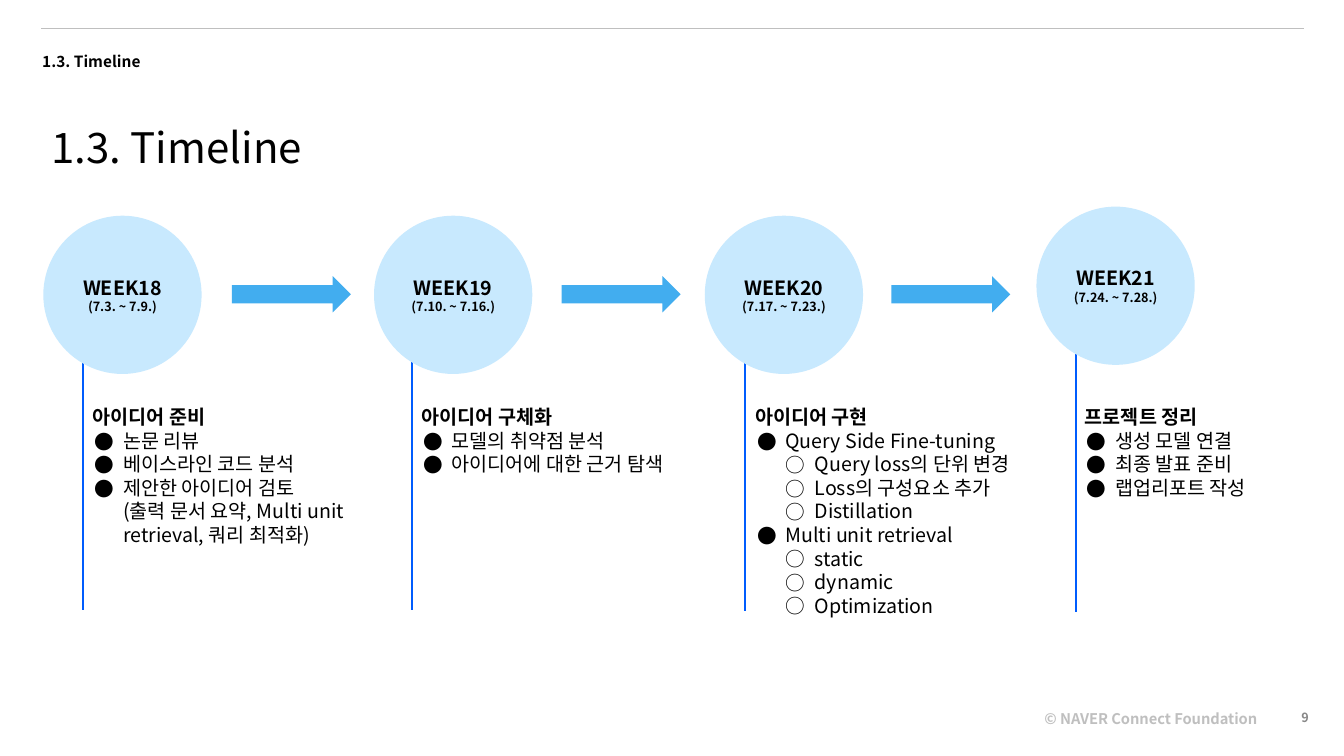
from lxml.etree import SubElement
from pptx import Presentation
from pptx.dml.color import RGBColor
from pptx.enum.shapes import MSO_CONNECTOR, MSO_SHAPE
from pptx.enum.text import MSO_ANCHOR, MSO_AUTO_SIZE, PP_ALIGN
from pptx.oxml.ns import qn
from pptx.util import Pt

EMU_PER_PX = 9144
COLORS = {
    "text": "000000",
    "rule": "BFBFBF",
    "stem": "005CFD",
    "circle": "C8E9FE",
    "arrow": "42ADEF",
    "number": "888888",
}
BULLETS = [("●", 30, -28), ("○", 59, -29)]
CIRCLE_SIZE = 157
CIRCLE_LEFT = 43
ARROW_LEFT = 230
ARROW_STEP = 327

WEEKS = [
    {
        "name": "WEEK18", "dates": "(7.3. ~ 7.9.)", "top": 214,
        "stem": (82, 262, 605), "list_left": 82, "heading": "아이디어 준비",
        "items": [
            (0, "논문 리뷰"),
            (0, "베이스라인 코드 분석"),
            (0, "제안한 아이디어 검토\n(출력 문서 요약, Multi unit retrieval, 쿼리 최적화)"),
        ],
    },
    {
        "name": "WEEK19", "dates": "(7.10. ~ 7.16.)", "top": 214,
        "stem": (409, 277, 605), "list_left": 408, "heading": "아이디어 구체화",
        "items": [(0, "모델의 취약점 분석"), (0, "아이디어에 대한 근거 탐색")],
    },
    {
        "name": "WEEK20", "dates": "(7.17. ~ 7.23.)", "top": 214,
        "stem": (739, 286, 606), "list_left": 739, "heading": "아이디어 구현",
        "items": [
            (0, "Query Side Fine-tuning"),
            (1, "Query loss의 단위 변경"),
            (1, "Loss의 구성요소 추가"),
            (1, "Distillation"),
            (0, "Multi unit retrieval"),
            (1, "static"),
            (1, "dynamic"),
            (1, "Optimization"),
        ],
    },
    {
        "name": "WEEK21", "dates": "(7.24. ~ 7.28.)", "top": 205,
        "stem": (1067, 274, 607), "list_left": 1066, "heading": "프로젝트 정리",
        "items": [(0, "생성 모델 연결"), (0, "최종 발표 준비"), (0, "랩업리포트 작성")],
    },
]


def px(length):
    return length * EMU_PER_PX


class TimelineSlide:
    """Holds the slide and its style, and adds each kind of element."""

    font_name = "Noto Sans CJK KR"

    def __init__(self, slide):
        self.slide = slide

    def place(self, shape, left, top, width, height):
        shape.left, shape.top = px(left), px(top)
        shape.width, shape.height = px(width), px(height)

    def frame(self, shape, inset=5, anchor=MSO_ANCHOR.TOP):
        frame = shape.text_frame
        frame.word_wrap = True
        frame.auto_size = MSO_AUTO_SIZE.NONE
        frame.vertical_anchor = anchor
        frame.margin_left = frame.margin_right = px(10)
        frame.margin_top = frame.margin_bottom = px(inset)
        return frame

    def add_text_run(self, paragraph, text, size, bold=False, color="text"):
        for index, line in enumerate(text.split("\n")):
            if index:
                paragraph.add_line_break()
            run = paragraph.add_run()
            run.text = line
            run.font.size = Pt(size)
            run.font.bold = bold
            run.font.color.rgb = RGBColor.from_string(COLORS[color])
            run.font.name = self.font_name
            properties = run._r.get_or_add_rPr()
            SubElement(properties, qn("a:ea"), typeface=self.font_name)

    def fill_paragraph(self, paragraph, text, size, bold=False, color="text",
                       align=PP_ALIGN.LEFT, spacing=1.0):
        paragraph.alignment = align
        paragraph.line_spacing = spacing
        paragraph.space_before = paragraph.space_after = Pt(0)
        self.add_text_run(paragraph, text, size, bold, color)

    def bullet(self, paragraph, level):
        symbol, margin, indent = BULLETS[level]
        paragraph.level = level
        properties = paragraph._p.get_or_add_pPr()
        properties.set("marL", str(px(margin)))
        properties.set("indent", str(px(indent)))
        color = SubElement(properties, qn("a:buClr"))
        SubElement(color, qn("a:srgbClr"), val=COLORS["text"])
        SubElement(properties, qn("a:buFont"), typeface=self.font_name)
        SubElement(properties, qn("a:buChar"), char=symbol)

    def title(self, text, box):
        shape = self.slide.shapes.title
        self.place(shape, *box)
        self.fill_paragraph(self.frame(shape).paragraphs[0], text, 30, spacing=1.38)

    def label(self, text, box, size, color="text", anchor=MSO_ANCHOR.TOP, **style):
        shape = self.slide.shapes.add_textbox(*map(px, box))
        paragraph = self.frame(shape, anchor=anchor).paragraphs[0]
        self.fill_paragraph(paragraph, text, size, True, color, **style)

    def task_list(self, placeholder, left, heading, items):
        self.place(placeholder, left, 392, 274, 262)
        frame = self.frame(placeholder, inset=10)
        first = frame.paragraphs[0]
        properties = first._p.get_or_add_pPr()
        properties.set("marL", "0")
        properties.set("indent", "0")
        SubElement(properties, qn("a:buNone"))
        self.fill_paragraph(first, heading, 14, bold=True)
        for level, text in items:
            paragraph = frame.add_paragraph()
            self.bullet(paragraph, level)
            self.fill_paragraph(paragraph, text, 14)

    def line(self, start, end, color, width):
        connector = self.slide.shapes.add_connector(
            MSO_CONNECTOR.STRAIGHT, *map(px, start + end))
        connector.line.color.rgb = RGBColor.from_string(COLORS[color])
        connector.line.width = Pt(width)
        SubElement(connector._element.spPr, qn("a:effectLst"))

    def filled(self, kind, box, color):
        shape = self.slide.shapes.add_shape(kind, *map(px, box))
        shape.shadow.inherit = False
        shape.fill.solid()
        shape.fill.fore_color.rgb = RGBColor.from_string(COLORS[color])
        shape.line.fill.background()
        return shape

    def circle(self, left, top, name, dates):
        box = (left, top, CIRCLE_SIZE, CIRCLE_SIZE)
        shape = self.filled(MSO_SHAPE.OVAL, box, "circle")
        frame = self.frame(shape, inset=10, anchor=MSO_ANCHOR.MIDDLE)
        center = PP_ALIGN.CENTER
        self.fill_paragraph(frame.paragraphs[0], name, 14, True, align=center)
        self.fill_paragraph(frame.add_paragraph(), dates, 9, True, align=center)

    def arrow(self, left):
        self.filled(MSO_SHAPE.RIGHT_ARROW, (left, 274, 118, 36), "arrow")


def main():
    presentation = Presentation()
    presentation.slide_width, presentation.slide_height = px(1333), px(750)
    comparison_layout = presentation.slide_layouts[4]
    slide = presentation.slides.add_slide(comparison_layout)
    timeline = TimelineSlide(slide)

    timeline.line((41, 28), (1293, 28), "rule", 0.75)
    timeline.label("1.3. Timeline", (32, 30, 158, 29), 11, spacing=1.91)
    timeline.title("1.3. Timeline", (41, 97, 822, 61))

    bodies = list(slide.placeholders)[1:]
    for index, (week, body) in enumerate(zip(WEEKS, bodies)):
        x, top, bottom = week["stem"]
        timeline.line((x, top), (x, bottom), "stem", 1.5)
        timeline.task_list(body, week["list_left"], week["heading"], week["items"])
        circle_left = CIRCLE_LEFT + index * 985 // 3
        timeline.circle(circle_left, week["top"], week["name"], week["dates"])
    for index in range(len(WEEKS) - 1):
        timeline.arrow(ARROW_LEFT + index * ARROW_STEP)

    timeline.label("© NAVER Connect Foundation", (1026, 698, 239, 28), 10.5,
                   "rule", spacing=1.1)
    timeline.label("9", (1220, 692, 88, 40), 9, "number",
                   MSO_ANCHOR.MIDDLE, align=PP_ALIGN.RIGHT)
    presentation.save("out.pptx")


if __name__ == "__main__":
    main()
